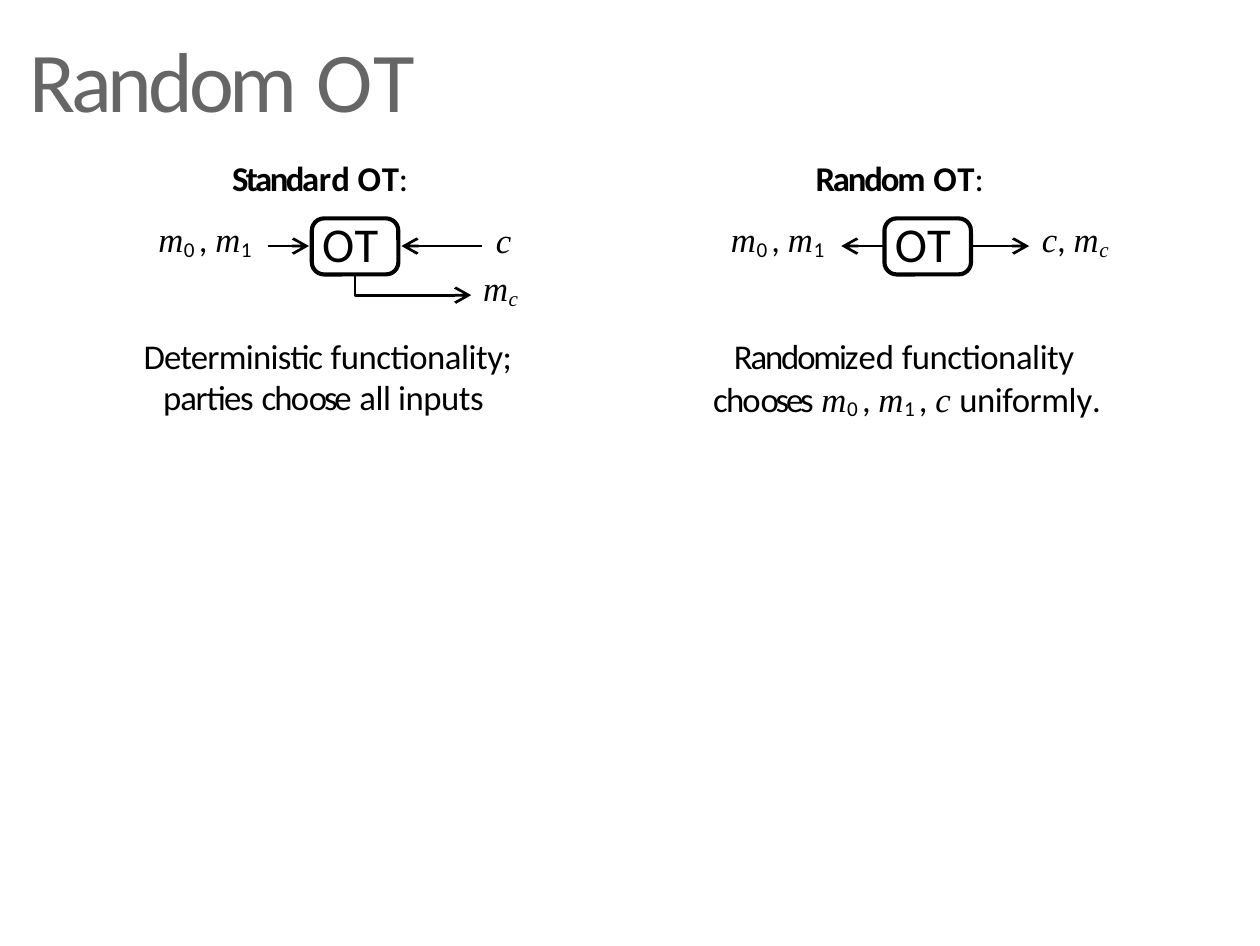
from lxml import etree
from pptx import Presentation
from pptx.dml.color import RGBColor
from pptx.enum.shapes import MSO_CONNECTOR, MSO_SHAPE
from pptx.enum.text import MSO_ANCHOR, MSO_AUTO_SIZE, PP_ALIGN
from pptx.oxml.ns import qn
from pptx.util import Cm, Pt

BLACK = RGBColor(0, 0, 0)
WHITE = RGBColor(255, 255, 255)
GREY = RGBColor(0x66, 0x66, 0x66)
STRAIGHT = MSO_CONNECTOR.STRAIGHT
ROUNDED = MSO_SHAPE.ROUNDED_RECTANGLE
TOP, MIDDLE = MSO_ANCHOR.TOP, MSO_ANCHOR.MIDDLE
LEFT = PP_ALIGN.LEFT
NO_FIT = MSO_AUTO_SIZE.NONE

SANS, SERIF = "Calibri", "Times New Roman"
# font, size, bold, italic, baseline shift in percent
STYLES = {
    "title": (SANS, 24.5, False, False, 0),
    "box": (SANS, 14, False, False, 0),
    "bold": (SANS, 10, True, False, 0),
    "plain": (SANS, 10, False, False, 0),
    "math": (SERIF, 10, False, True, 0),
    "digit": (SANS, 10.5, False, False, -12),
    "index": (SERIF, 10.5, False, True, -12),
}
SHIFT = 5.82  # from the standard diagram to the random one
AXIS = 2.5    # height of the horizontal arrows

COMMA = (", ", "plain", -0.1)
PAIR = [("m", "math", 0.2), ("0", "digit", 1.2), COMMA,
        ("m", "math", 0.2), ("1", "digit", 0.6)]
CHOSEN = [("m", "math", 0.2), ("c", "index", -0.4)]


def add_run(para, text, style, gap, color):
    run = para.add_run()
    run.text = text
    font = run.font
    font.name, size, font.bold, font.italic, base = STYLES[style]
    font.size = Pt(size)
    font.color.rgb = color
    marks = run._r.get_or_add_rPr()
    marks.set("spc", str(round(gap * 100)))
    if base:
        marks.set("baseline", str(base * 1000))


def write(frame, lines, before, indents, color=BLACK, spacing=1.0):
    """Fill a frame with lines of (text, style, letter spacing) runs."""
    frame.word_wrap = True
    frame.auto_size = NO_FIT
    frame.vertical_anchor = TOP
    frame.margin_left = frame.margin_right = frame.margin_bottom = 0
    frame.margin_top = Cm(0.04)
    for i, (line, indent) in enumerate(zip(lines, indents)):
        para = frame.paragraphs[0] if i == 0 else frame.add_paragraph()
        para.alignment = LEFT
        para.line_spacing = spacing
        para.space_before = Pt(0 if i else before)
        props = para._p.get_or_add_pPr()
        props.set("marL", str(Cm(indent)))
        props.set("indent", "0")
        for text, style, gap in line:
            word = text.rstrip()
            add_run(para, word, style, gap, color)
            if word != text:  # spaces keep their full width
                add_run(para, " ", style, 0, color)


def add_text(slide, place, lines, indents, before=0.9, spacing=1.0):
    box = slide.shapes.add_textbox(*map(Cm, place))
    write(box.text_frame, lines, before, indents, spacing=spacing)


def add_title(slide):
    title = slide.shapes.title
    title.left, title.top, title.width, title.height = map(
        Cm, (0.26, 0.24, 4.42, 1.12))
    runs = [("Random ", "title", -1.2), ("O", "title", -0.8),
            ("T", "title", -1.6)]
    write(title.text_frame, [runs], 1.2, [0.04], GREY)


def add_box(slide, left):
    box = slide.shapes.add_shape(
        ROUNDED, Cm(left), Cm(2.22), Cm(0.88), Cm(0.57))
    box.adjustments[0] = 0.22
    box.shadow.inherit = False
    box.fill.solid()
    box.fill.fore_color.rgb = WHITE
    box.line.color.rgb = BLACK
    box.line.width = Pt(1.2)
    frame = box.text_frame
    write(frame, [[("O", "box", -0.4), ("T", "box", -0.8)]], 0, [0.07])
    frame.margin_top = 0
    frame.margin_bottom = Cm(0.06)
    frame.vertical_anchor = MIDDLE


def point(shape):
    """Draw the line thin and black, with an open arrowhead at its end."""
    shape.line.color.rgb = BLACK
    shape.line.width = Pt(0.8)
    etree.SubElement(shape.line._get_or_add_ln(), qn("a:tailEnd"),
                     type="arrow", w="sm", len="sm")


def add_arrow(slide, start, end):
    arrow = slide.shapes.add_connector(
        STRAIGHT, Cm(start), Cm(AXIS), Cm(end), Cm(AXIS))
    point(arrow)
    etree.SubElement(arrow._element.spPr, qn("a:effectLst"))


def add_elbow(slide, points):
    first, *rest = [(Cm(x), Cm(y)) for x, y in points]
    build = slide.shapes.build_freeform(*first)
    build.add_line_segments(rest, close=False)
    elbow = build.convert_to_shape()
    elbow.fill.background()
    point(elbow)
    elbow.shadow.inherit = False


def add_base(slide, shift):
    """Box and message pair, which both diagrams share."""
    add_box(slide, 3.17 + shift)
    add_text(slide, (1.51 + shift, 2.16, 1.2, 0.48), [PAIR], [0.1])


def add_standard(slide):
    add_text(slide, (2.33, 1.55, 2.18, 0.46), [[
        ("Standa", "bold", -0.7), ("r", "bold", -0.6), ("d ", "bold", -0.5),
        ("O", "bold", 0.2), ("T", "bold", -0.2), (":", "plain", -0.6)]],
        [0.03])
    add_base(slide, 0)
    add_text(slide, (4.81, 2.13, 0.58, 1.02),
             [[("c", "math", -0.6)], CHOSEN], [0.23, 0.1], 1, 1.12)
    add_arrow(slide, 2.72, 3.14)
    add_arrow(slide, 4.9, 4.08)
    add_elbow(slide, [(3.61, 2.81), (3.61, 3.0), (4.79, 3.0)])
    add_text(slide, (1.43, 3.36, 4.06, 0.91), [
        [("Deterministic ", "plain", -0.2), ("functionality;", "plain", -0.1)],
        [("parties ", "plain", -0.3), ("cho", "plain", -0.5),
         ("ose ", "plain", -0.9), ("all inputs", "plain", -0.1)]],
        [0.03, 0.23])


def add_random(slide):
    add_text(slide, (8.26, 1.55, 2.08, 0.46), [[
        ("Random ", "bold", -0.6), ("O", "bold", 0.2), ("T", "bold", -0.1),
        (":", "plain", -0.6)]], [0.03])
    add_base(slide, SHIFT)
    add_text(slide, (10.49, 2.16, 0.86, 0.48),
             [[("c", "math", -0.7), COMMA, *CHOSEN]], [0.1])
    add_arrow(slide, 8.97, 8.55)
    add_arrow(slide, 9.89, 10.46)
    add_text(slide, (7.15, 3.36, 4.27, 0.91), [
        [("Randomiz", "plain", -0.6), ("e", "plain", -0.5),
         ("d ", "plain", -0.3), ("functionality", "plain", -0.1)],
        [("cho", "plain", -0.5), ("oses ", "plain", -0.9),
         *PAIR[:-1], ("1", "digit", 1.2), COMMA, ("c ", "math", -0.6),
         ("uniforml", "plain", -0.1), ("y", "plain", -0.7),
         (".", "plain", -0.6)]], [0.31, 0.1])


def main():
    deck = Presentation()
    deck.slide_width, deck.slide_height = Pt(363), Pt(272.5)
    slide = deck.slides.add_slide(deck.slide_layouts[5])
    add_title(slide)
    add_standard(slide)
    add_random(slide)
    deck.save("out.pptx")


if __name__ == "__main__":
    main()
